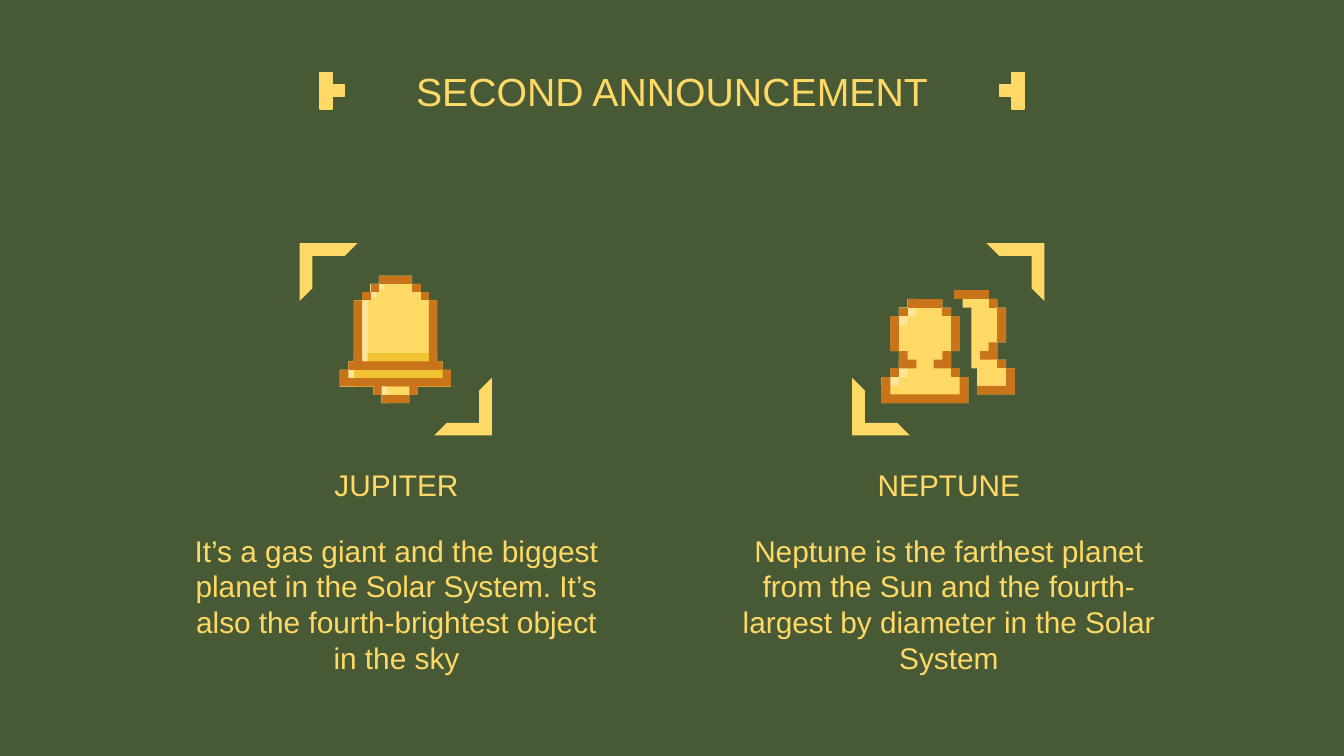
from pptx import Presentation
from pptx.dml.color import RGBColor
from pptx.enum.shapes import MSO_SHAPE
from pptx.enum.text import MSO_ANCHOR, PP_ALIGN
from pptx.util import Inches, Pt

HALF_FRAME = MSO_SHAPE.HALF_FRAME
SQUARE = MSO_SHAPE.RECTANGLE
TOP, BOTTOM = MSO_ANCHOR.TOP, MSO_ANCHOR.BOTTOM
CENTER = PP_ALIGN.CENTER

COLORS = {
    "green": "485935",
    "yellow": "FFD966",
    "gold": "F1C232",
    "cream": "FFE599",
    "brown": "C9741B",
}
FONT = "Arial"
WIDTH = 10
HEIGHT = WIDTH * 9 / 16

TITLE = "SECOND ANNOUNCEMENT"
BELL = [
    ("yellow", [(14, 3, 11, 6, 8, 9, 5, 31, 3, 34, 0, 40, 12, 43, 15, 46,
                 25, 43, 28, 40, 40, 34, 37, 31, 35, 9, 32, 6, 29, 3, 26, 0)]),
    ("gold", [(5, 31, 3, 34, 0, 40, 40, 34, 37, 31, 35, 28)]),
    ("cream", [
        (14, 3, 11, 6, 8, 9, 5, 31, 10, 9, 11, 8, 13, 6, 14, 5, 16, 2),
        (3, 34, 0, 40, 5, 31),
        (12, 43, 15, 46, 17, 39),
    ]),
    ("brown", [
        (8, 9, 11, 6), (11, 6, 14, 3),
        (5, 31, 3, 34, 37, 31, 35, 9, 32, 31, 8, 9),
        (15, 46, 25, 43), (14, 3, 26, 0), (29, 9, 32, 6), (26, 6, 29, 3),
        (0, 40, 12, 43, 15, 40, 25, 43, 28, 40, 40, 34, 37, 37, 3, 34),
    ]),
]
PEOPLE = [
    ("yellow", [(9, 6, 6, 9, 3, 21, 6, 27, 3, 30, 0, 39,
                 30, 30, 27, 27, 24, 21, 27, 9, 24, 6, 21, 3)]),
    ("cream", [
        (9, 6, 6, 9, 3, 12, 9, 9, 12, 3),
        (6, 27, 3, 30, 0, 33, 6, 30, 9, 24),
    ]),
    ("yellow", [(25, 3, 28, 6, 31, 27, 33, 36, 46, 27,
                 43, 24, 40, 18, 43, 6, 40, 3, 37, 0)]),
    ("brown", [
        (3, 21, 6, 9), (24, 21, 27, 9), (9, 6, 21, 3), (6, 9, 9, 6),
        (21, 9, 24, 6), (21, 24, 18, 27, 24, 21), (3, 30, 6, 27),
        (24, 30, 27, 27), (0, 39, 30, 30, 27, 36, 3, 30),
        (6, 27, 12, 24, 9, 21), (40, 18, 43, 6), (25, 3, 37, 0),
        (37, 6, 40, 3), (37, 21, 34, 24, 40, 18), (40, 27, 43, 24),
        (43, 33, 33, 36, 46, 27),
    ]),
]
PLANETS = [
    {
        "name": "JUPITER",
        "text": "It’s a gas giant and the biggest planet in the Solar System. "
                "It’s also the fourth-brightest object in the sky",
        "left": 1.26,
        "icon": BELL, "icon_at": (2.53, 2.05), "pixel": 0.95 / 46,
        "corners": [(0, 0, 0), (1, 1, 180)],
    },
    {
        "name": "NEPTUNE",
        "text": "Neptune is the farthest planet from the Sun and the "
                "fourth-largest by diameter in the Solar System",
        "left": 5.37,
        "icon": PEOPLE, "icon_at": (6.56, 2.16), "pixel": 0.84 / 39,
        "corners": [(1, 0, 90), (0, 1, 270)],
    },
]
COLUMN_WIDTH = 3.38
FRAME_INDENT, FRAME_TOP = 0.97, 1.81
CORNER_SIZE, CORNER_STEP = 0.43, 1
TICK_TOP, TICK_SIZE = 0.54, 0.09
TICK_CELLS = [(0, 0), (0, 1), (0, 2), (1, 1)]
TICKS = [(2.38, 1), (7.53, -1)]


def color(name):
    return RGBColor.from_string(COLORS[name])


def paint(shape, name):
    shape.shadow.inherit = False
    shape.fill.solid()
    shape.fill.fore_color.rgb = color(name)
    shape.line.fill.background()


def add_text(slide, text, place, size, anchor):
    box = slide.shapes.add_textbox(*map(Inches, place))
    frame = box.text_frame
    frame.word_wrap = True
    frame.vertical_anchor = anchor
    frame.margin_left = frame.margin_right = Inches(0.1)
    frame.margin_top = frame.margin_bottom = Inches(0.1)
    para = frame.paragraphs[0]
    para.alignment = CENTER
    span = para.add_run()
    span.text = text
    span.font.name = FONT
    span.font.size = Pt(size)
    span.font.color.rgb = color("yellow")


def add_tick(slide, left, direction):
    for column, row in TICK_CELLS:
        place = (left + direction * column * TICK_SIZE,
                 TICK_TOP + row * TICK_SIZE, TICK_SIZE, TICK_SIZE)
        square = slide.shapes.add_shape(SQUARE, *map(Inches, place))
        paint(square, "yellow")
        square.line.color.rgb = color("yellow")
        square.line.width = Pt(0.75)


def corner_points(steps):
    pairs = zip(steps, steps[1:] + steps[:1])
    return [(b, a) if index % 2 else (a, b)
            for index, (a, b) in enumerate(pairs)]


def add_icon(slide, layers, origin, pixel):
    for name, outlines in layers:
        for steps in outlines:
            start, *others = corner_points(steps)
            builder = slide.shapes.build_freeform(*start, scale=Inches(1) * pixel)
            builder.add_line_segments(others, close=True)
            paint(builder.convert_to_shape(*map(Inches, origin)), name)


def add_corner(slide, frame_left, column, row, angle):
    place = (frame_left + column * CORNER_STEP, FRAME_TOP + row * CORNER_STEP,
             CORNER_SIZE, CORNER_SIZE)
    corner = slide.shapes.add_shape(HALF_FRAME, *map(Inches, place))
    corner.adjustments[0] = corner.adjustments[1] = 0.22
    corner.rotation = angle
    paint(corner, "yellow")


def add_planet(slide, planet):
    left = planet["left"]
    add_text(slide, planet["name"], (left, 3.41, COLUMN_WIDTH, 0.43), 16, BOTTOM)
    add_text(slide, planet["text"], (left, 3.86, COLUMN_WIDTH, 1.21), 16, TOP)
    add_icon(slide, planet["icon"], planet["icon_at"], planet["pixel"])
    for corner in planet["corners"]:
        add_corner(slide, left + FRAME_INDENT, *corner)


def main():
    deck = Presentation()
    deck.slide_width, deck.slide_height = Inches(WIDTH), Inches(HEIGHT)
    slide = deck.slides.add_slide(deck.slide_layouts[6])
    slide.background.fill.solid()
    slide.background.fill.fore_color.rgb = color("green")
    add_text(slide, TITLE, (0.34, 0.32, 9.32, 0.63), 21, BOTTOM)
    for tick in TICKS:
        add_tick(slide, *tick)
    for planet in PLANETS:
        add_planet(slide, planet)
    deck.save("out.pptx")


if __name__ == "__main__":
    main()
